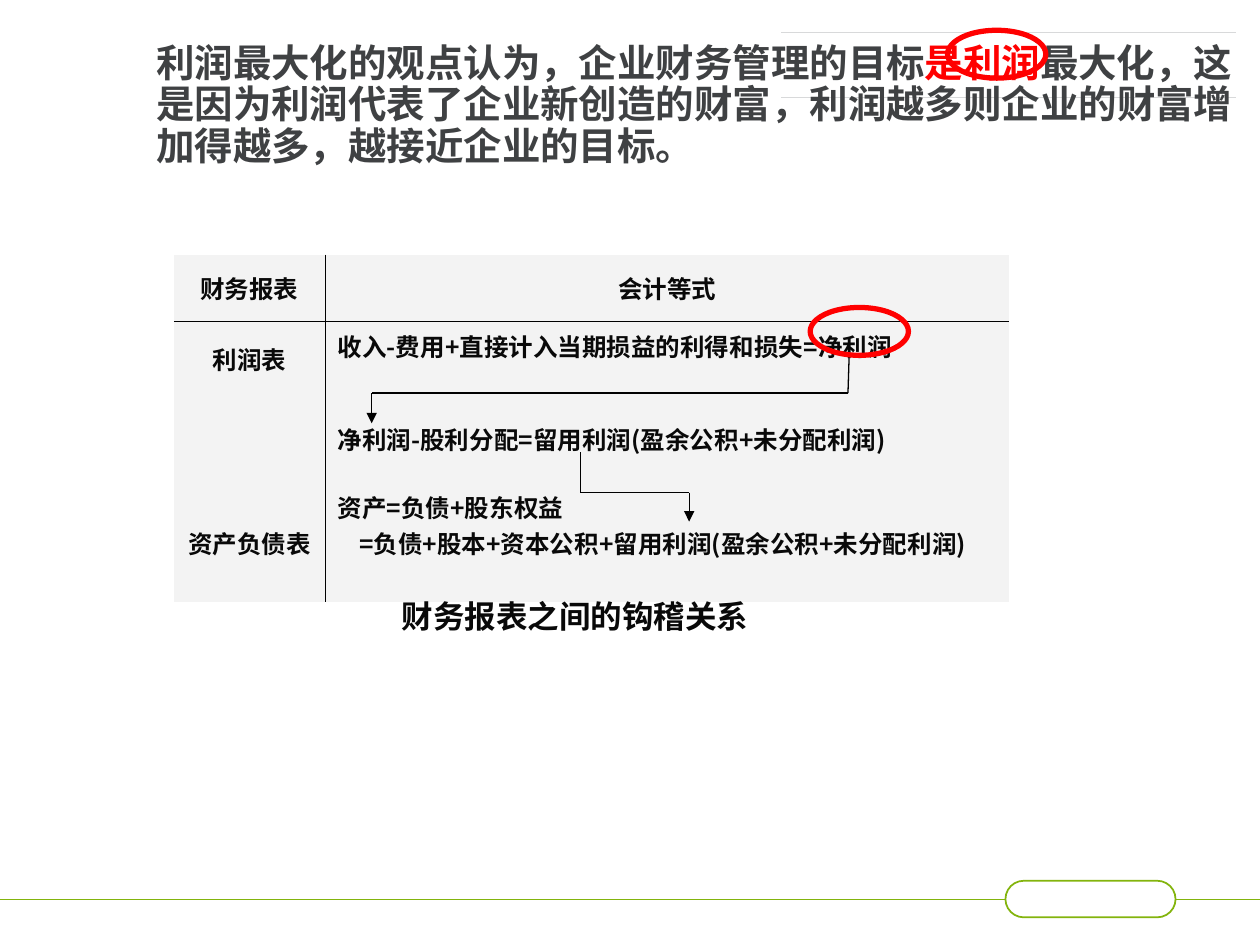
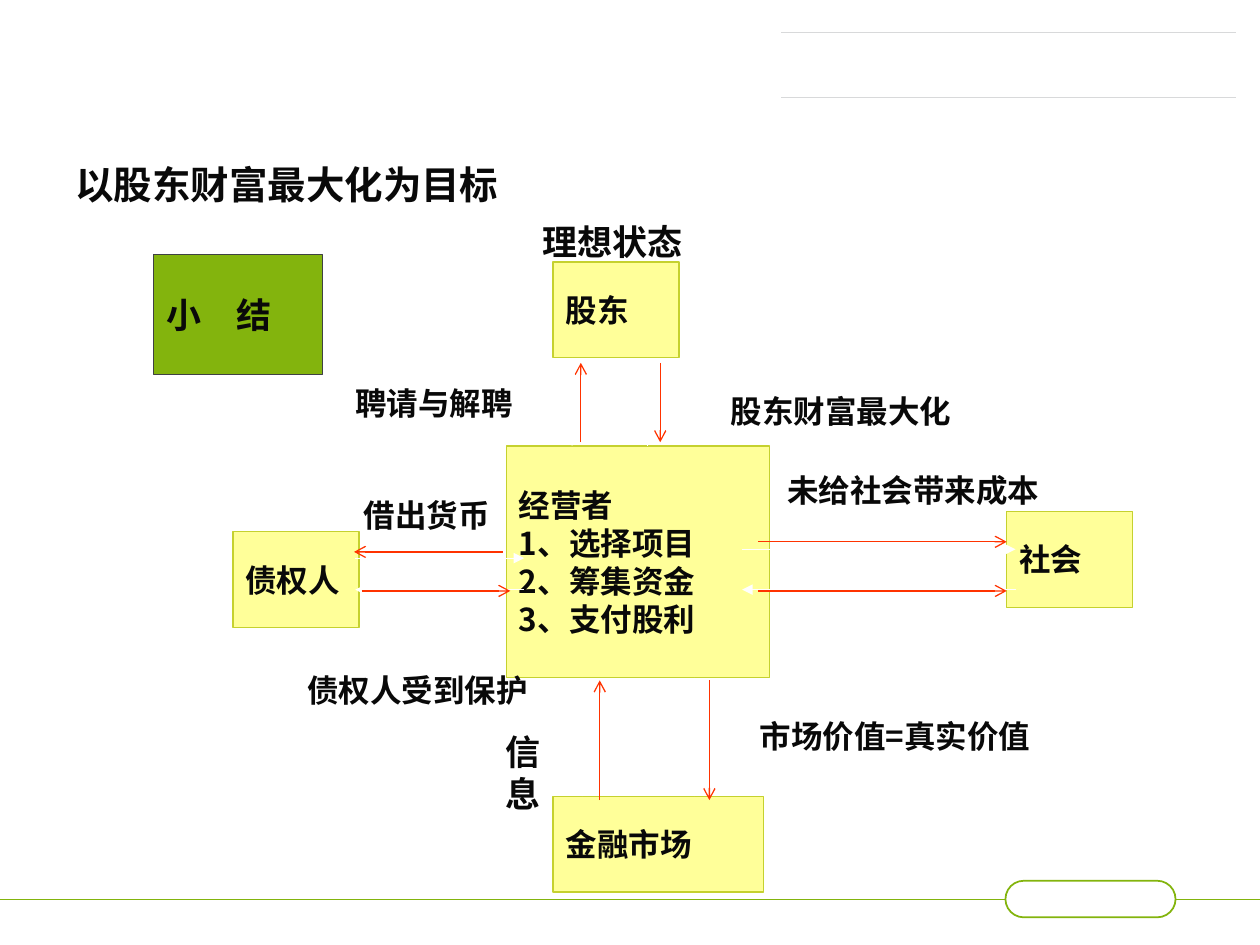
from typing import NamedTuple

from lxml.etree import SubElement
from pptx import Presentation
from pptx.dml.color import RGBColor
from pptx.enum.shapes import MSO_CONNECTOR as LINK, MSO_SHAPE as KIND
from pptx.enum.text import MSO_ANCHOR as ANCHOR, MSO_AUTO_SIZE as FIT, PP_ALIGN as ALIGN
from pptx.oxml.ns import qn
from pptx.util import Emu, Pt

# Lengths are px, 100 to the inch
SCALE = 9144
INK, GREY, RED, BLACK, WHITE = "090909", "3F4143", "FF0000", "000000", "FFFFFF"
GREEN, LIME, CREAM = "83B40D", "C5D12F", "FFFF99"
RULE, CELL, ORANGE = "D8D9DA", "F3F3F3", "FF3300"
SANS, SERIF, ROUND, ARIAL = "Noto Sans CJK SC", "Times New Roman", "Roboto", "Arial"


class Box(NamedTuple):
    x: int
    y: int
    w: int
    h: int


class Node(NamedTuple):
    box: Box
    lines: list
    font: str = SERIF
    size: int = 18
    fill: str = CREAM
    edge: str = LIME


class Label(NamedTuple):
    box: Box
    text: str
    font: str = SERIF
    size: int = 18
    wrap: bool = False
    indent: int = 0
    anchor: ANCHOR = ANCHOR.TOP


class Entry(NamedTuple):
    """Text of one table cell and how it sits."""
    lines: list
    align: ALIGN = ALIGN.CENTER
    anchor: ANCHOR = ANCHOR.MIDDLE


def px(n: int) -> Emu:
    return Emu(n * SCALE)


def place(box: Box) -> list:
    return [px(n) for n in box]


def rgb(code: str) -> RGBColor:
    return RGBColor.from_string(code)


# Text
def write(frame, lines: list, *, size: int = 18, font: str = SANS, color: str = INK,
          align: ALIGN = ALIGN.LEFT, indent: int = 0, space: float = 1.0) -> None:
    """Fill a frame; a line is a string or a list of (text, color) runs."""
    for i, line in enumerate(lines):
        para = frame.paragraphs[0] if i == 0 else frame.add_paragraph()
        para.alignment, para.line_spacing = align, space
        if indent and i == len(lines) - 1:
            para._p.get_or_add_pPr().set("indent", str(px(indent)))
        for text, tint in [(line, color)] if isinstance(line, str) else line:
            run = para.add_run()
            run.text = text
            run.font.size, run.font.bold, run.font.name = Pt(size), True, font
            run.font.color.rgb = rgb(tint)
            SubElement(run._r.get_or_add_rPr(), qn("a:ea"), typeface=SANS)


def set_title(slide, box: Box, runs: list, font: str, base: int = 5) -> None:
    title = slide.shapes.title
    title.left, title.top, title.width, title.height = place(box)
    frame = title.text_frame
    frame.auto_size, frame.word_wrap = FIT.NONE, True
    frame.vertical_anchor, frame.margin_bottom = ANCHOR.BOTTOM, px(base)
    write(frame, [runs], size=22, font=font, space=0.9)
    title.element.getparent().append(title.element)


def add_label(slide, item: Label) -> None:
    frame = slide.shapes.add_textbox(*place(item.box)).text_frame
    frame.word_wrap, frame.auto_size = item.wrap, FIT.SHAPE_TO_FIT_TEXT
    frame.vertical_anchor = item.anchor
    write(frame, [item.text], size=item.size, font=item.font, indent=item.indent)


# Shapes and lines
def add_form(slide, kind: KIND, box: Box, edge: str, width: float, fill: str = ""):
    form = slide.shapes.add_shape(kind, *place(box))
    form.shadow.inherit = False
    form.line.color.rgb, form.line.width = rgb(edge), Pt(width)
    if fill:
        form.fill.solid()
        form.fill.fore_color.rgb = rgb(fill)
    else:
        form.fill.background()
    return form


def add_node(slide, node: Node) -> None:
    form = add_form(slide, KIND.RECTANGLE, node.box, node.edge, 0.75, node.fill)
    frame = form.text_frame
    frame.word_wrap, frame.vertical_anchor = False, ANCHOR.MIDDLE
    write(frame, node.lines, size=node.size, font=node.font)


def add_path(slide, points: list, color: str, width: float = 0.75, tip: str = "") -> None:
    """Join the points with straight lines; the tip sits on the last."""
    for i, (start, end) in enumerate(zip(points, points[1:]), 2):
        link = slide.shapes.add_connector(LINK.STRAIGHT, *map(px, start + end))
        link.line.color.rgb, link.line.width = rgb(color), Pt(width)
        if tip and i == len(points):
            SubElement(link.line._get_or_add_ln(), qn("a:tailEnd"), type=tip)
        SubElement(link.element.spPr, qn("a:effectLst"))


def add_ring(slide, x: int, y: int) -> None:
    add_form(slide, KIND.OVAL, Box(x, y, 78, 38), RED, 3)


# Frame lines shared by both slides
def add_slide(deck):
    slide = deck.slides.add_slide(deck.slide_layouts[5])
    pill = add_form(slide, KIND.ROUNDED_RECTANGLE, Box(798, 699, 135, 29), GREEN, 1)
    pill.adjustments[0] = 0.5
    for y in (26, 77):
        add_path(slide, [(620, y), (981, y)], RULE, 0.5)
    for left, right in ((0, 798), (933, 1000)):
        add_path(slide, [(left, 714), (right, 714)], GREEN, 0.5)
    return slide


# Table
def set_edges(cell, shown: set) -> None:
    props = cell._tc.get_or_add_tcPr()
    for side in "LRTB":
        edge = SubElement(props, qn(f"a:ln{side}"), w=str(Pt(0.45)))
        if side in shown:
            fill = SubElement(edge, qn("a:solidFill"))
            SubElement(fill, qn("a:srgbClr"), val=BLACK)
        else:
            SubElement(edge, qn("a:noFill"))


def add_grid(slide, box: Box, cols: list, rows: list, entries: list) -> None:
    table = slide.shapes.add_table(len(rows), len(cols), *place(box)).table
    table.first_row = table.horz_banding = False
    for col, width in zip(table.columns, cols):
        col.width = px(width)
    for r, (row, height) in enumerate(zip(table.rows, rows)):
        row.height = px(height)
        for c, (cell, entry) in enumerate(zip(row.cells, entries[r])):
            set_edges(cell, {"RL"[c]} | ({"B"} if r == 0 else {"T"} if r == 1 else set()))
            cell.fill.solid()
            cell.fill.fore_color.rgb = rgb(CELL)
            cell.vertical_anchor = entry.anchor
            write(cell.text_frame, entry.lines, size=14, align=entry.align,
                  indent=17 if len(entry.lines) > 1 else 0)


# Slide 1: profit as the goal
ENTRIES = [
    [Entry(["财务报表"]), Entry(["会计等式"])],
    [Entry(["利润表"]),
     Entry(["收入-费用+直接计入当期损益的利得和损失=净利润"], ALIGN.LEFT, ANCHOR.TOP)],
    [Entry([]), Entry(["净利润-股利分配=留用利润(盈余公积+未分配利润)"], ALIGN.LEFT)],
    [Entry(["资产负债表"]),
     Entry(["资产=负债+股东权益", "=负债+股本+资本公积+留用利润(盈余公积+未分配利润)"],
           ALIGN.LEFT, ANCHOR.TOP)],
]
FLOWS = [
    [(674, 281), (673, 312), (295, 312), (295, 336)],
    [(461, 359), (461, 391), (547, 391), (547, 414)],
]


def draw_profit(deck) -> None:
    slide = add_slide(deck)
    set_title(slide, Box(114, 38, 892, 134), [
        ("利润最大化的观点认为，企业财务管理的目标", GREY),
        ("是利润", RED),
        ("最大化，这是因为利润代表了企业新创造的财富，"
         "利润越多则企业的财富增加得越多，越接近企业的目标。", GREY),
    ], SANS, base=38)
    add_grid(slide, Box(138, 202, 663, 261), [120, 543], [53, 59, 69, 80], ENTRIES)
    for flow in FLOWS:
        add_path(slide, flow, BLACK, tip="triangle")
    add_label(slide, Label(Box(309, 469, 295, 40), "财务报表之间的钩稽关系", ROUND,
                           anchor=ANCHOR.MIDDLE))
    add_ring(slide, 752, 24)
    add_ring(slide, 643, 244)


# Slide 2: shareholder wealth as the goal
NODES = [
    Node(Box(122, 202, 134, 95), ["小　结"], ROUND, 20, GREEN, GREY),
    Node(Box(439, 208, 100, 76), ["股东"]),
    Node(Box(439, 632, 167, 76), ["金融市场"]),
    Node(Box(185, 422, 100, 76), ["债权人"]),
    Node(Box(402, 354, 209, 184),
         ["经营者", "1、选择项目", "2、筹集资金", "3、支付股利"], SANS),
    Node(Box(799, 406, 100, 76), ["社会"]),
]
LABELS = [
    Label(Box(393, 170, 162, 44), "理想状态", size=20, wrap=True, indent=28),
    Label(Box(272, 300, 145, 40), "聘请与解聘"),
    Label(Box(570, 306, 195, 40), "股东财富最大化"),
    Label(Box(615, 369, 220, 40), "未给社会带来成本"),
    Label(Box(279, 389, 120, 40), "借出货币"),
    Label(Box(234, 528, 195, 40), "债权人受到保护"),
    Label(Box(391, 575, 75, 44), "信息", size=20),
    Label(Box(593, 564, 247, 40), "市场价值=真实价值", SANS),
]
PALE = [
    [(454, 284), (454, 354)], [(514, 354), (514, 284)],
    [(589, 436), (806, 436)], [(806, 468), (589, 468)],
    [(282, 443), (416, 443)], [(416, 468), (282, 468)],
    [(462, 538), (462, 632)], [(551, 632), (551, 538)],
]
ARROWS = [
    [(476, 635), (476, 540)], [(563, 540), (563, 635)],
    [(602, 430), (799, 430)], [(602, 469), (799, 469)],
    [(461, 351), (461, 288)], [(524, 288), (524, 351)],
    [(399, 438), (281, 438)], [(287, 469), (405, 469)],
]


def draw_wealth(deck) -> None:
    slide = add_slide(deck)
    set_title(slide, Box(50, 36, 825, 134), [("以股东财富最大化为目标", INK)], ARIAL)
    for node in NODES:
        add_node(slide, node)
    for points in PALE:
        add_path(slide, points, WHITE, tip="triangle")
    for item in LABELS:
        add_label(slide, item)
    for points in ARROWS:
        add_path(slide, points, ORANGE, tip="arrow")


def main() -> None:
    deck = Presentation()
    deck.slide_width, deck.slide_height = px(1000), px(750)
    draw_profit(deck)
    draw_wealth(deck)
    deck.save("out.pptx")


if __name__ == "__main__":
    main()
